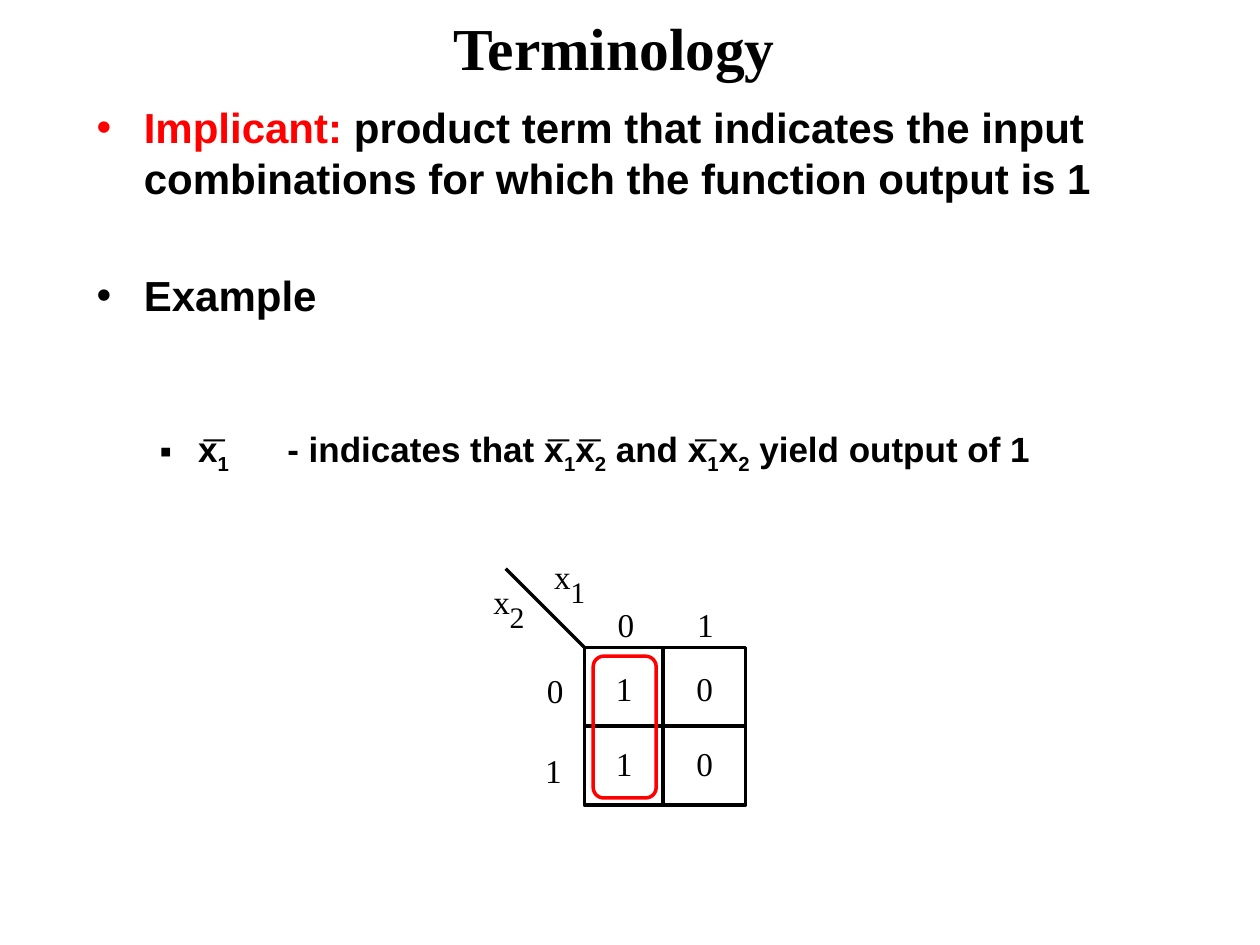
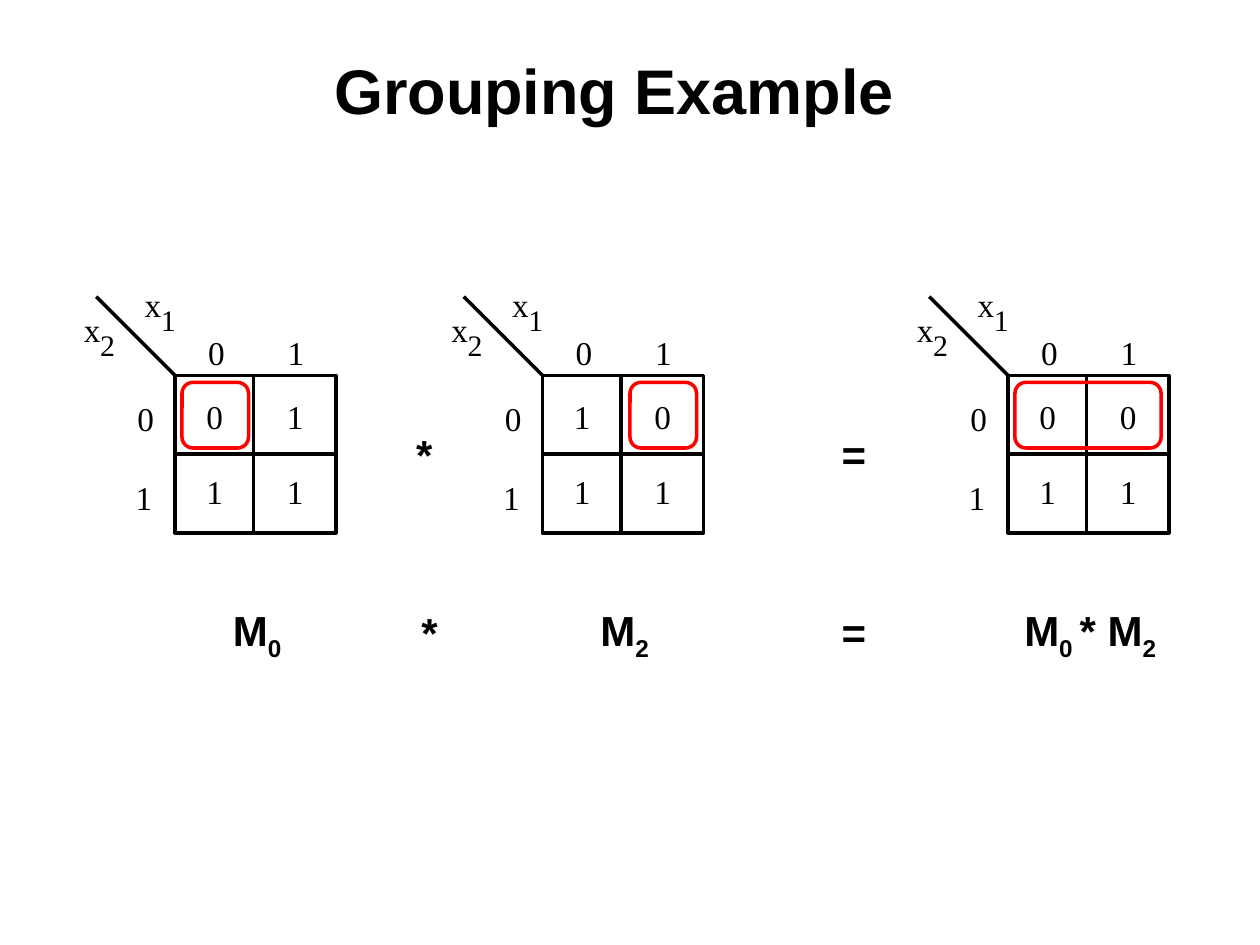
from lxml import etree
from pptx import Presentation
from pptx.dml.color import RGBColor
from pptx.enum import shapes, text
from pptx.oxml import ns
from pptx.util import Pt

BLACK, WHITE, RED = "000000", "FFFFFF", "FF0000"
SANS, SERIF = "Arial", "Times New Roman"
LEFT, MID = text.PP_ALIGN.LEFT, text.PP_ALIGN.CENTER
INDENT = 58  # left edge of the second-level text


def color(code):
    return RGBColor.from_string(code)


def add_run(para, words, size, font=SANS, bold=True, ink=BLACK, sub=False):
    run = para.add_run()
    run.text = words
    run.font.size, run.font.name, run.font.bold = Pt(size), font, bold
    run.font.color.rgb = color(ink)
    if sub:
        run.font._element.set("baseline", "-25000")


def add_terms(para, terms, size):
    """Add (words, subscript) pairs."""
    for words, sub in terms:
        add_run(para, words, size)
        if sub:
            add_run(para, sub, size, sub=True)


def add_box(slide, x, y, w, h, align=LEFT):
    """Add a text box without insets and return its frame."""
    frame = slide.shapes.add_textbox(Pt(x), Pt(y), Pt(w), Pt(h)).text_frame
    frame.word_wrap = True
    frame.margin_left = frame.margin_right = 0
    frame.margin_top = frame.margin_bottom = 0
    frame.paragraphs[0].alignment = align
    return frame


def add_mark(slide, words, x, y, size=19):
    """Add one plain serif character."""
    para = add_box(slide, x, y, 14, 23).paragraphs[0]
    add_run(para, words, size, SERIF, False)


def add_name(slide, terms, x, y, w=122):
    """Add a bold centred caption."""
    add_terms(add_box(slide, x, y, w, 29, MID).paragraphs[0], terms, 24)


def add_line(slide, x1, y1, x2, y2):
    line = slide.shapes.add_connector(
        shapes.MSO_CONNECTOR.STRAIGHT, Pt(x1), Pt(y1), Pt(x2), Pt(y2))
    line.line.color.rgb = color(BLACK)
    line.line.width = Pt(2)
    etree.SubElement(line._element.spPr, ns.qn("a:effectLst"))


def add_frame(slide, kind, x, y, w, h, ink, fill=None):
    shape = slide.shapes.add_shape(kind, Pt(x), Pt(y), Pt(w), Pt(h))
    shape.shadow.inherit = False
    shape.line.color.rgb = color(ink)
    shape.line.width = Pt(2)
    if fill:
        shape.fill.solid()
        shape.fill.fore_color.rgb = color(fill)
    else:
        shape.fill.background()


def add_map(slide, x, y, rows, ring):
    """Draw a two-variable Karnaugh map with its grid corner at x, y.

    ring is the red group's left, top, width and height from that corner.
    """
    kind = shapes.MSO_SHAPE
    add_frame(slide, kind.RECTANGLE, x, y, 92, 90, BLACK, WHITE)
    add_line(slide, x, y + 45, x + 92, y + 45)
    add_line(slide, x + 45, y, x + 45, y + 90)
    add_line(slide, x - 45, y - 45, x, y)
    for sub, dx, dy in (("1", -17.3, -52), ("2", -52, -38)):
        add_mark(slide, "x", x + dx, y + dy)
        add_mark(slide, sub, x + dx + 9.3, y + dy + 10, 17)
    for i, row in enumerate(rows):
        add_mark(slide, str(i), x - 21.5 - i, y + 13 + 45.5 * i)
        add_mark(slide, str(i), x + 19 + 45.4 * i, y - 24.7)
        for j, value in enumerate(row):
            add_mark(slide, value, x + 18 + 46 * j, y + 12 + 43 * i)
    left, top, w, h = ring
    add_frame(slide, kind.ROUNDED_RECTANGLE, x + left, y + top, w, h, RED)


def add_slide(deck, title, top, height, size, font):
    slide = deck.slides.add_slide(deck.slide_layouts[5])
    head = slide.shapes.title
    head.left, head.top, head.width, head.height = (
        Pt(0), Pt(top), Pt(702), Pt(height))
    head.text_frame.vertical_anchor = text.MSO_ANCHOR.MIDDLE
    para = head.text_frame.paragraphs[0]
    para.alignment = MID
    add_run(para, title, size, font)
    return slide


def set_list(para, sign, ink, left, hang, before, pitch, tabs=()):
    para.space_before, para.line_spacing = Pt(before), Pt(pitch)
    props = para._p.get_or_add_pPr()
    props.set("marL", str(Pt(left)))
    props.set("indent", str(-Pt(hang)))
    tint = etree.SubElement(props, ns.qn("a:buClr"))
    etree.SubElement(tint, ns.qn("a:srgbClr"), val=ink)
    etree.SubElement(props, ns.qn("a:buFont"), typeface=SANS)
    etree.SubElement(props, ns.qn("a:buChar"), char=sign)
    if tabs:
        stops = etree.SubElement(props, ns.qn("a:tabLst"))
        for pos in tabs:
            etree.SubElement(stops, ns.qn("a:tab"), pos=str(Pt(pos)), algn="l")


def add_points(slide):
    frame = add_box(slide, 55.2, 57.8, 610, 236)
    para = frame.paragraphs[0]
    set_list(para, "•", RED, 27, 27, 0, 29)
    add_run(para, "Implicant: ", 24, ink=RED)
    add_run(para, "product term that indicates the input combinations "
            "for which the function output is 1", 24)

    para = frame.add_paragraph()
    set_list(para, "•", BLACK, 27, 27, 38, 29)
    add_run(para, "Example", 24)

    # The gap ends 109 pt in, whether stops count from the box or the indent.
    para = frame.add_paragraph()
    set_list(para, "▪", BLACK, INDENT, 22, 64.8, 24, (109 - INDENT, 109))
    add_terms(para, [("x", "1"), ("\t- indicates that x", "1"), ("x", "2"),
                     (" and x", "1"), ("x", "2"),
                     (" yield output of 1", "")], 20)
    for x in (116.6, 313.2, 331.2, 397.4):
        add_mark(slide, "_", x, 225.5, 24)


def main():
    deck = Presentation()
    deck.slide_width, deck.slide_height = Pt(720), Pt(540)

    slide = add_slide(deck, "Terminology", 12, 30, 34, SERIF)
    add_points(slide)
    add_map(slide, 334, 370, ("10", "10"), (5, 5, 36, 81))

    slide = add_slide(deck, "Grouping Example", 24, 54, 36, SANS)
    maps = (
        (100, ("01", "11"), (4, 4, 38, 37.5), [("M", "0")]),
        (310, ("10", "11"), (50, 4, 38, 37.5), [("M", "2")]),
        (576, ("00", "11"), (4, 4, 83.5, 37.5), [("M", "0 "), ("* M", "2")]),
    )
    for x, rows, ring, terms in maps:
        add_map(slide, x, 214.5, rows, ring)
        add_name(slide, terms, x - 14, 345.6)
    for sign, x, y in (("*", 235.5, 245), ("*", 238.5, 346.3),
                       ("=", 481, 245), ("=", 481, 346.3)):
        add_name(slide, [(sign, "")], x, y, 14)

    deck.save("out.pptx")


if __name__ == "__main__":
    main()
